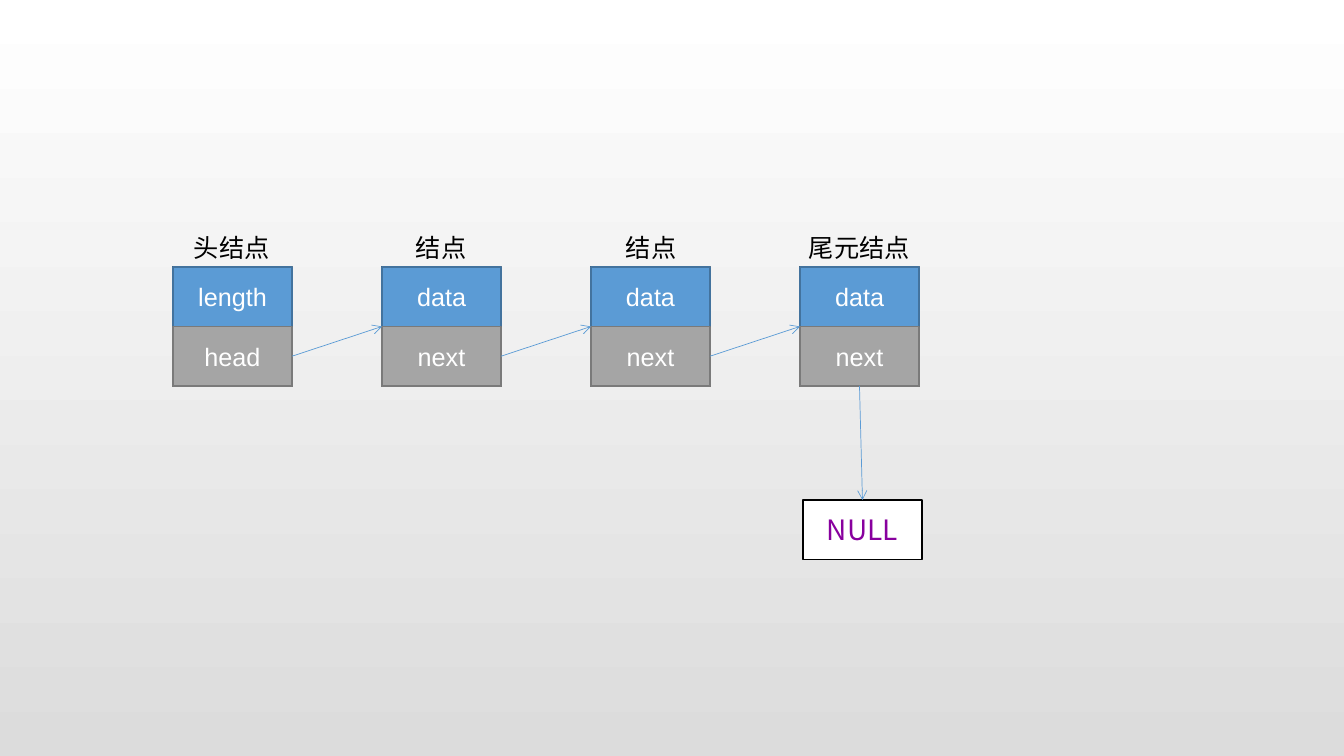
import pptx
import pptx.util
import pptx.dml.color
import pptx.enum.shapes
import pptx.enum.text
import pptx.oxml
import pptx.oxml.ns

NODES = [
    ("头结点", 184, "length", "head"),
    ("结点", 406, "data", "next"),
    ("结点", 616, "data", "next"),
    ("尾元结点", 799, "data", "next"),
]
END = "NULL"
SANS, HAN = "Arial", "Noto Sans CJK SC"
BLUE, GREY, WHITE, BLACK = "5B9BD5", "A5A5A5", "FFFFFF", "000000"
LEFT, TOP, STEP, SIDE, ROW = 173, 267, 209, 119, 59.5
LABEL, TALL, CHAR, PAD = 227, 40, 25, 22
RIGHT, LOWER = 3, 2

SCALE = 914400 / 100.8


def px(num):
    return pptx.util.Emu(round(num * SCALE))


def color(code):
    return pptx.dml.color.RGBColor.from_string(code)


def write(shape, text, size, font, ink, align):
    frame = shape.text_frame
    frame.word_wrap = True
    para = frame.paragraphs[0]
    para.alignment = align
    run = para.add_run()
    run.text = text
    run.font.size = pptx.util.Pt(size)
    run.font.name = font
    run.font.color.rgb = color(ink)
    east = pptx.oxml.parse_xml(
        f'<a:ea {pptx.oxml.ns.nsdecls("a")} typeface="{HAN}"/>')
    run.font._element.find(pptx.oxml.ns.qn("a:latin")).addnext(east)


def box(home, x, y, high, fill, edge, text="", size=18, font=SANS, ink=WHITE):
    shape = home.add_shape(pptx.enum.shapes.MSO_SHAPE.RECTANGLE,
                           px(x), px(y), px(SIDE), px(high))
    shape.shadow.inherit = False
    shape.fill.solid()
    shape.fill.fore_color.rgb = color(fill)
    shape.line.color.rgb = color(edge)
    shape.line.width = pptx.util.Pt(1)
    if text:
        shape.text_frame.vertical_anchor = pptx.enum.text.MSO_ANCHOR.MIDDLE
        write(shape, text, size, font, ink, pptx.enum.text.PP_ALIGN.CENTER)
    return shape


def node(x, label, start, upper, lower):
    home = slide.shapes.add_group_shape().shapes
    frame = box(home, x, TOP, SIDE, WHITE, BLACK)
    box(home, x, TOP, ROW, BLUE, "43739E", upper)
    link = box(home, x, TOP + ROW, ROW, GREY, "7A7A7A", lower)
    title = home.add_textbox(px(start), px(LABEL),
                             px(CHAR * len(label) + PAD), px(TALL))
    write(title, label, 18, SANS, BLACK, pptx.enum.text.PP_ALIGN.LEFT)
    title.text_frame.word_wrap = False
    return frame, link


def arrow(first, site, last, goal):
    line = slide.shapes.add_connector(
        pptx.enum.shapes.MSO_CONNECTOR.STRAIGHT, 0, 0, 0, 0)
    line.begin_connect(first, site)
    line.end_connect(last, goal)
    line.line.color.rgb = color(BLUE)
    line.line.width = pptx.util.Pt(0.5)
    space = pptx.oxml.ns.nsdecls("a")
    line.line._get_or_add_ln().append(
        pptx.oxml.parse_xml(f'<a:tailEnd {space} type="arrow"/>'))
    line._element.spPr.append(pptx.oxml.parse_xml(f'<a:effectLst {space}/>'))


deck = pptx.Presentation()
deck.slide_width, deck.slide_height = px(1344), px(756)
slide = deck.slides.add_slide(deck.slide_layouts[6])

back = slide.background.fill
back.gradient()
back.gradient_angle = 270
for stop, code, place in zip(back.gradient_stops, (WHITE, "DCDCDC"), (0, 1)):
    stop.color.rgb = color(code)
    stop.position = place

null = box(slide.shapes, 803, 500, ROW, WHITE, BLACK, END, 20, HAN, "88009E")
chain = [node(LEFT + STEP * i, *item) for i, item in enumerate(NODES)]
for (_, link), (frame, _) in zip(chain, chain[1:]):
    arrow(link, RIGHT, frame, 1)
arrow(chain[-1][1], LOWER, null, 0)

deck.save("out.pptx")
